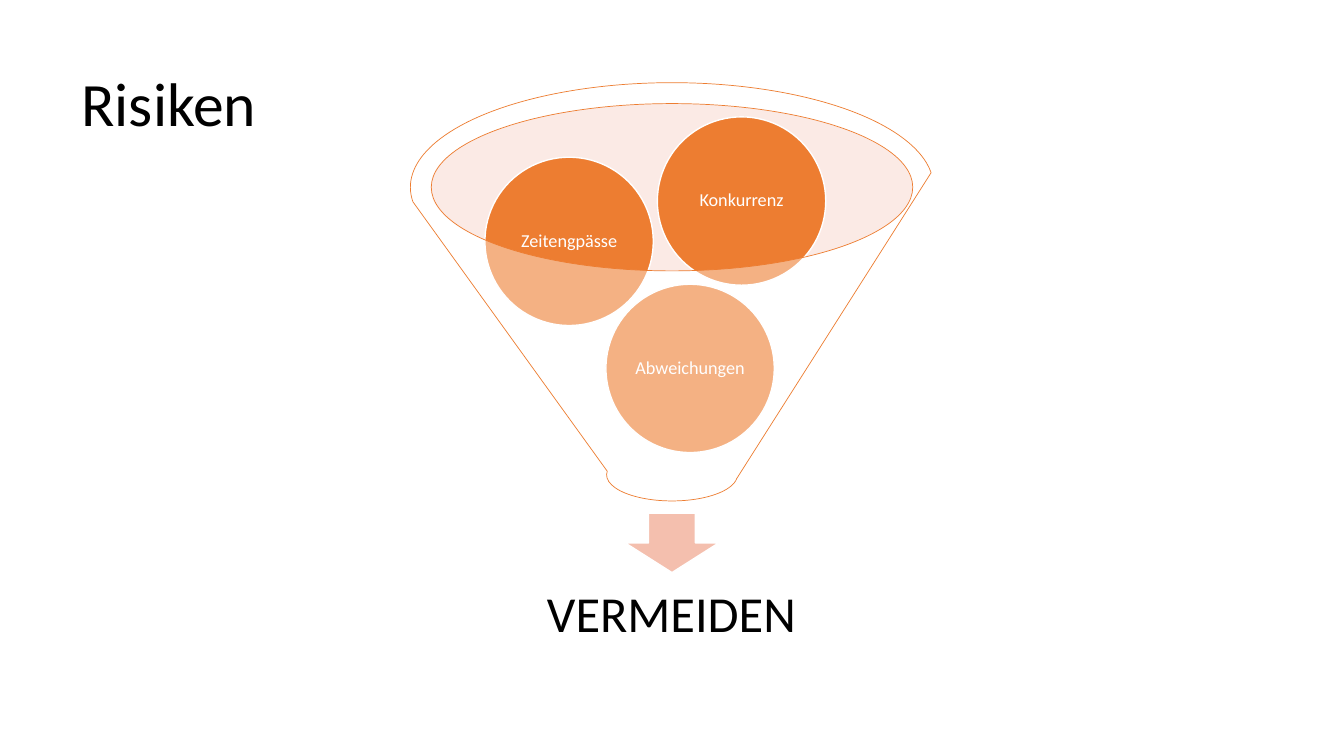
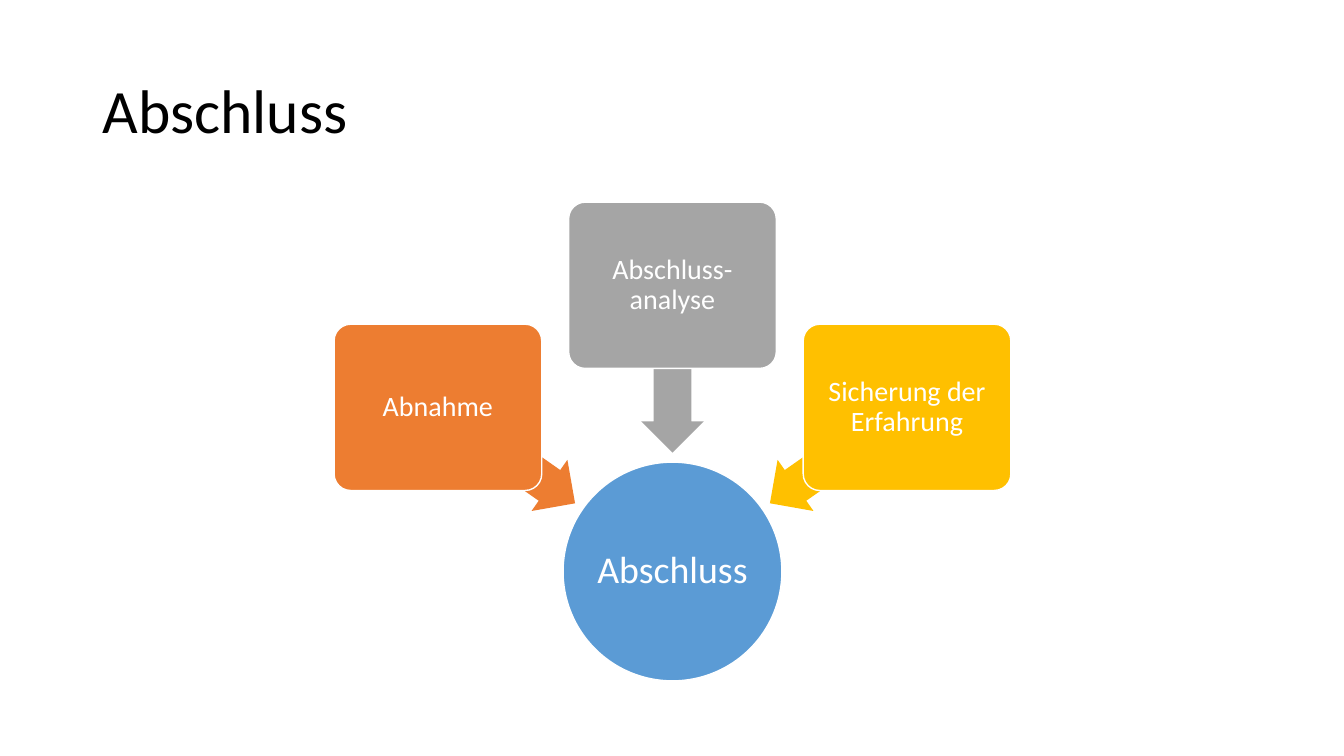
import math
from dataclasses import dataclass

import pptx
import pptx.dml.color
import pptx.enum.shapes
import pptx.enum.text
import pptx.oxml.ns
import pptx.util
from lxml import etree
from pptx.util import Inches

SHAPE = pptx.enum.shapes.MSO_SHAPE
ALIGN = pptx.enum.text.PP_ALIGN
FONT = "Calibri"
COLORS = {
    "text": "000000",
    "white": "FFFFFF",
    "orange": "ED7D31",
    "gray": "A5A5A5",
    "gold": "FFC000",
    "blue": "5B9BD5",
    "rim": "F6CCBE",
    "outlet": "F4BFAE",
}


@dataclass
class Box:
    left: float
    top: float
    width: float
    height: float

    def lengths(self) -> list:
        return [Inches(v) for v in (self.left, self.top, self.width, self.height)]


@dataclass
class Risk:
    label: str
    left: float
    top: float


@dataclass
class Branch:
    label: str
    color: str
    angle: int  # clockwise from the right, in degrees


def rgb(color: str) -> pptx.dml.color.RGBColor:
    return pptx.dml.color.RGBColor.from_string(COLORS[color])


def centered(x: float, y: float, width: float, height: float) -> Box:
    return Box(x - width / 2, y - height / 2, width, height)


def orbit(center: tuple, radius: float, angle: int) -> tuple:
    turn = math.radians(angle)
    return center[0] + radius * math.cos(turn), center[1] + radius * math.sin(turn)


def write(shape, text: str, size: float, color: str, align=ALIGN.CENTER,
          inset: float = 0.02) -> None:
    frame = shape.text_frame
    frame.word_wrap = True
    frame.vertical_anchor = pptx.enum.text.MSO_ANCHOR.MIDDLE
    frame.margin_left = frame.margin_right = Inches(inset)
    frame.margin_top = frame.margin_bottom = Inches(inset)
    frame.text = text
    paragraph = frame.paragraphs[0]
    paragraph.alignment = align
    paragraph.line_spacing = 0.9
    font = paragraph.runs[0].font
    font.name = FONT
    font.size = pptx.util.Pt(size)
    font.color.rgb = rgb(color)


def add_text(slide, box: Box, text: str, size: float, align=ALIGN.CENTER,
             inset: float = 0.1) -> None:
    write(slide.shapes.add_textbox(*box.lengths()), text, size, "text", align, inset)


def add_title(slide, left: float, top: float, text: str) -> None:
    add_text(slide, Box(left, top, 11.5, 1.45), text, 44, ALIGN.LEFT)


def add_figure(slide, kind, box: Box, fill: str, line: str = "", weight: float = 1,
               opacity: int = 100):
    figure = slide.shapes.add_shape(kind, *box.lengths())
    figure.shadow.inherit = False
    figure.fill.solid()
    figure.fill.fore_color.rgb = rgb(fill)
    if opacity < 100:
        tone = figure.fill._xPr.find(".//" + pptx.oxml.ns.qn("a:srgbClr"))
        alpha = etree.SubElement(tone, pptx.oxml.ns.qn("a:alpha"))
        alpha.set("val", str(opacity * 1000))
    if line:
        figure.line.color.rgb = rgb(line)
        figure.line.width = pptx.util.Pt(weight)
    else:
        figure.line.fill.background()
    return figure


def build_risks(slide) -> None:
    # Rim and outlet of the funnel
    add_figure(slide, SHAPE.OVAL, Box(4.27, 1.03, 4.78, 1.66), "rim", opacity=40)
    add_figure(slide, SHAPE.DOWN_ARROW, Box(6.2, 5.09, 0.93, 0.59), "outlet", "white")
    add_text(slide, Box(4.44, 5.56, 4.44, 1.11), "VERMEIDEN", 36, inset=0.28)

    # Risks inside the funnel
    diameter = 1.67
    for risk in (Risk("Abweichungen", 6.01, 2.82), Risk("Zeitengpässe", 4.81, 1.56),
                 Risk("Konkurrenz", 6.52, 1.16)):
        ball = add_figure(slide, SHAPE.OVAL, Box(risk.left, risk.top, diameter, diameter),
                          "orange", "white")
        write(ball, risk.label, 13, "white")

    # Translucent funnel in front
    add_figure(slide, SHAPE.FUNNEL, Box(4.07, 0.82, 5.19, 4.15), "white", "orange", 0.5, 40)
    add_title(slide, 0.71, 0.33, "Risiken")


def build_closing(slide) -> None:
    add_title(slide, 0.92, 0.4, "Abschluss")

    # Hub
    center = (6.67, 5.67)
    hub = add_figure(slide, SHAPE.OVAL, centered(*center, 2.17, 2.17), "blue", "white")
    write(hub, "Abschluss", 27, "white")

    # Branches on an arc, each with an arrow to the hub
    for branch in (Branch("Abnahme", "orange", 215),
                   Branch("Abschluss-analyse", "gray", 270),
                   Branch("Sicherung der Erfahrung", "gold", 325)):
        arrow = add_figure(slide, SHAPE.LEFT_ARROW,
                           centered(*orbit(center, 2.01, branch.angle), 1.66, 0.62),
                           branch.color)
        arrow.adjustments[0] = 0.6
        arrow.adjustments[1] = 0.5
        arrow.rotation = branch.angle
        card = add_figure(slide, SHAPE.ROUNDED_RECTANGLE,
                          centered(*orbit(center, 2.84, branch.angle), 2.06, 1.65),
                          branch.color, "white")
        card.adjustments[0] = 0.1
        write(card, branch.label, 20, "white", inset=0.04)


def main() -> None:
    deck = pptx.Presentation()
    deck.slide_width, deck.slide_height = Inches(13.33), Inches(7.5)
    blank = deck.slide_layouts[6]
    for build in (build_risks, build_closing):
        build(deck.slides.add_slide(blank))
    deck.save("out.pptx")


if __name__ == "__main__":
    main()
